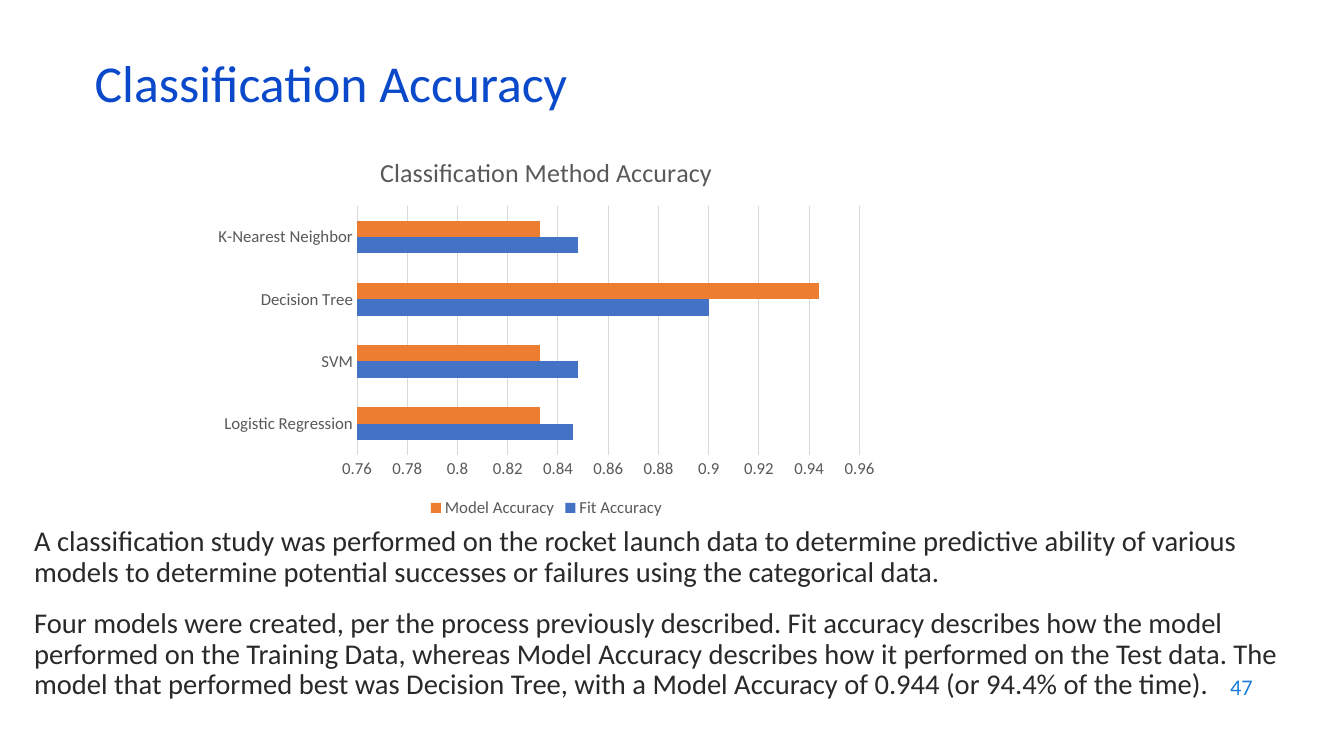
import pptx
import pptx.util
import pptx.dml.color
import pptx.chart.data
import pptx.enum.chart
import pptx.enum.text
from pptx.util import Cm

# Content
TITLE = "Classification Accuracy"
PAGE = "47"
BODY = [
    "A classification study was performed on the rocket launch data to determine predictive "
    "ability of various models to determine potential successes or failures using the "
    "categorical data.",
    "Four models were created, per the process previously described. Fit accuracy describes "
    "how the model performed on the Training Data, whereas Model Accuracy describes how it "
    "performed on the Test data. The model that performed best was Decision Tree, with a "
    "Model Accuracy of 0.944 (or 94.4% of the time).",
]
CHART_TITLE = "Classification Method Accuracy"
METHODS = ["Logistic Regression", "SVM", "Decision Tree", "K-Nearest Neighbor"]
SERIES = [
    ("Fit Accuracy", (0.846, 0.848, 0.9, 0.848), "fit"),
    ("Model Accuracy", (0.833, 0.833, 0.944, 0.833), "model"),
]
COLORS = {"title": "0B49CB", "body": "292929", "page": "1C7DDB", "label": "595959",
          "grid": "D9D9D9", "fit": "4472C4", "model": "ED7D31"}
FONT = "Calibri"
ALIGN = pptx.enum.text.PP_ALIGN
ANCHOR = pptx.enum.text.MSO_ANCHOR


def rgb(name):
    return pptx.dml.color.RGBColor.from_string(COLORS[name])


def set_font(font, size, color):
    font.name = FONT
    font.size = pptx.util.Pt(size)
    font.bold = False
    font.color.rgb = rgb(color)


def write(tf, lines, size, color, align=ALIGN.LEFT, anchor=ANCHOR.TOP, spacing=1.0, gap=0):
    tf.word_wrap = True
    tf.auto_size = pptx.enum.text.MSO_AUTO_SIZE.NONE
    tf.vertical_anchor = anchor
    for i, line in enumerate(lines):
        p = tf.add_paragraph() if i else tf.paragraphs[0]
        p.alignment = align
        p.line_spacing = spacing
        p.space_before = pptx.util.Pt(gap if i else 0)
        r = p.add_run()
        r.text = line
        set_font(r.font, size, color)


prs = pptx.Presentation()
prs.slide_width, prs.slide_height = Cm(33.87), Cm(19.05)
s = prs.slides.add_slide(prs.slide_layouts[5])

# Title
sp = s.shapes.title
sp.left, sp.top, sp.width, sp.height = Cm(2.13), Cm(1.5), Cm(29.21), Cm(1.52)
write(sp.text_frame, [TITLE], 37, "title", anchor=ANCHOR.MIDDLE, spacing=0.7)

# Page number and body text
sp = s.shapes.add_textbox(Cm(24.2), Cm(16.74), Cm(7.62), Cm(1.12))
write(sp.text_frame, [PAGE], 16, "page", align=ALIGN.RIGHT, anchor=ANCHOR.MIDDLE)
sp = s.shapes.add_textbox(Cm(0.61), Cm(13.16), Cm(32.31), Cm(5.36))
write(sp.text_frame, BODY, 20.4, "body", spacing=0.9, gap=14)

# Chart
data = pptx.chart.data.CategoryChartData()
data.categories = METHODS
for name, values, _ in SERIES:
    data.add_series(name, values)
chart = s.shapes.add_chart(pptx.enum.chart.XL_CHART_TYPE.BAR_CLUSTERED,
                           Cm(5.16), Cm(3.45), Cm(17.22), Cm(9.7), data).chart
set_font(chart.font, 12, "label")
chart.has_title = True
tf = chart.chart_title.text_frame
tf.text = CHART_TITLE
set_font(tf.paragraphs[0].runs[0].font, 18.6, "label")
chart.chart_title.include_in_layout = False

plot = chart.plots[0]
plot.vary_by_categories = False
plot.gap_width = 182
plot.overlap = 0
for series, (_, _, color) in zip(plot.series, SERIES):
    series.format.fill.solid()
    series.format.fill.fore_color.rgb = rgb(color)

# Axes and legend
cat, val = chart.category_axis, chart.value_axis
for axis in (cat, val):
    axis.major_tick_mark = axis.minor_tick_mark = pptx.enum.chart.XL_TICK_MARK.NONE
    set_font(axis.tick_labels.font, 12, "label")
val.minimum_scale, val.maximum_scale, val.major_unit = 0.76, 0.96, 0.02
val.tick_labels.number_format = "General"
val.tick_labels.number_format_is_linked = False
val.format.line.fill.background()
val.has_major_gridlines = True
for line in (cat.format.line, val.major_gridlines.format.line):
    line.color.rgb = rgb("grid")
    line.width = pptx.util.Pt(0.75)
chart.has_legend = True
chart.legend.position = pptx.enum.chart.XL_LEGEND_POSITION.BOTTOM
chart.legend.include_in_layout = False
set_font(chart.legend.font, 12, "label")

prs.save("out.pptx")
